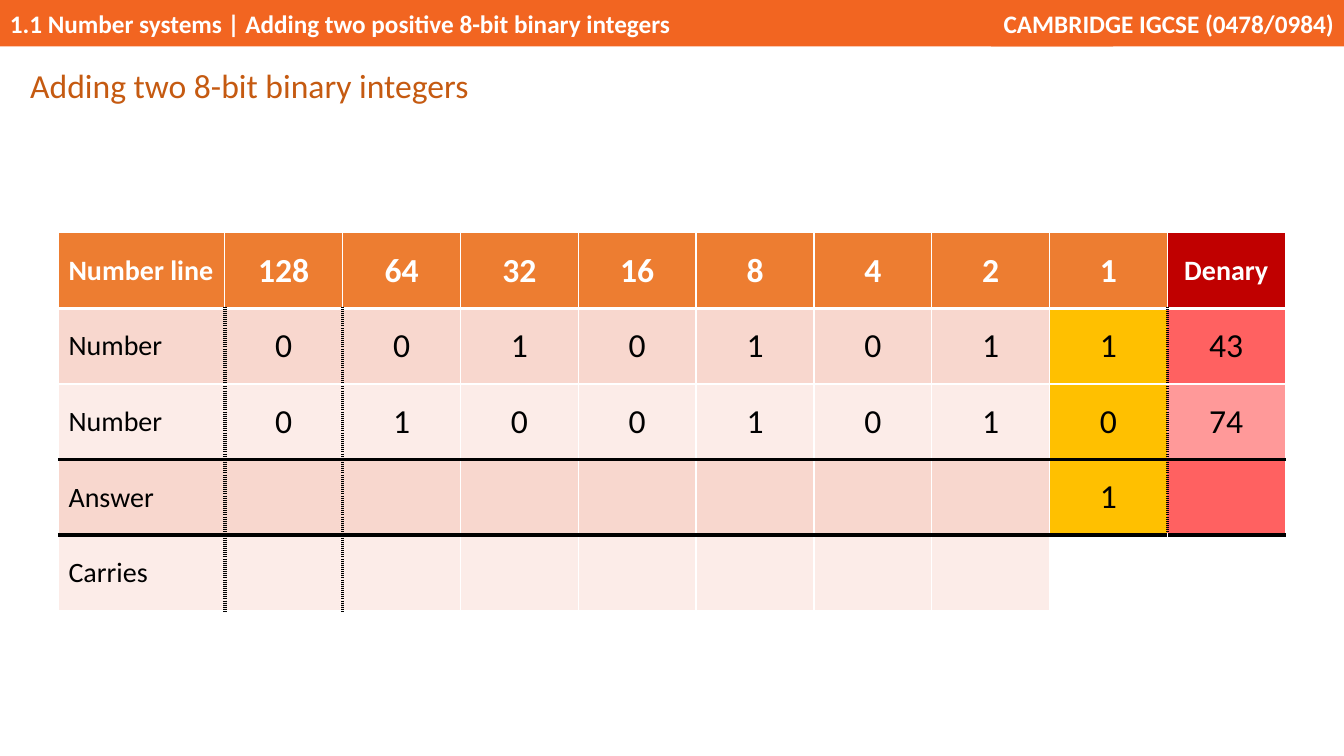
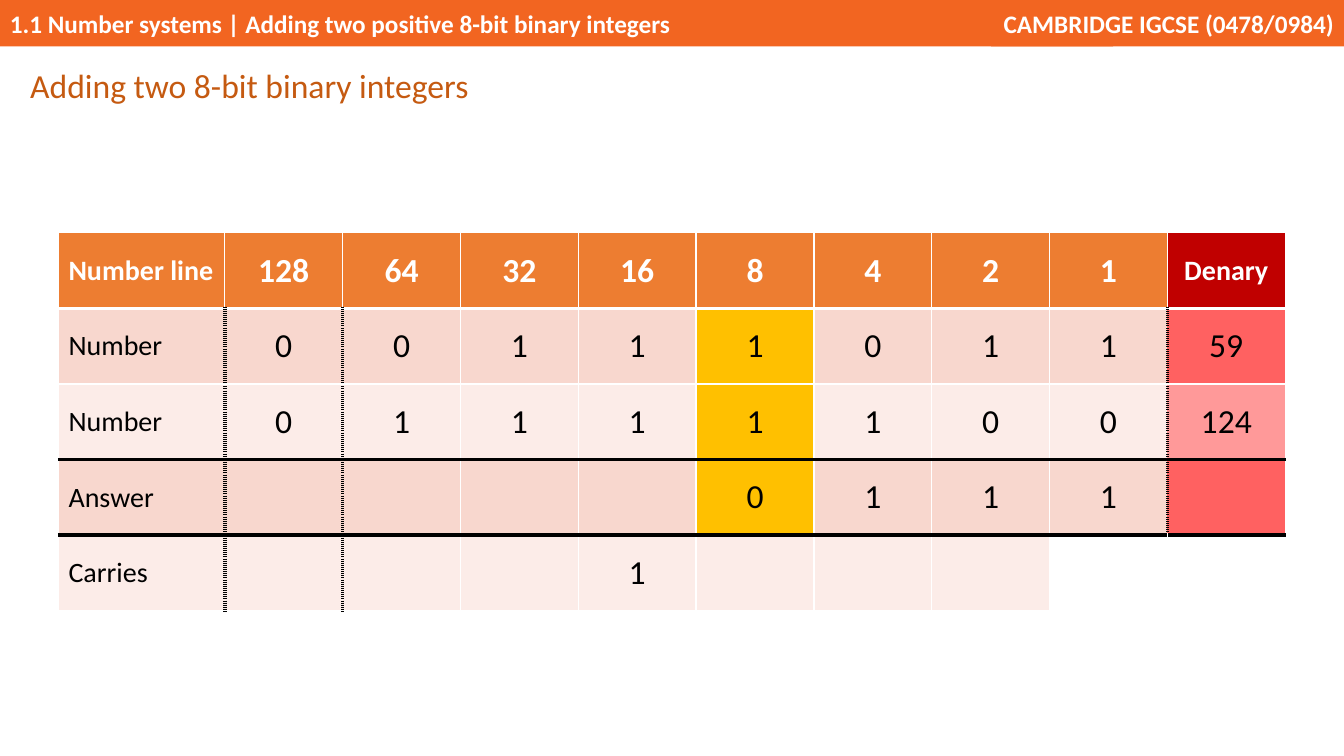
from dataclasses import dataclass
from typing import NamedTuple

import lxml.etree
import pptx
import pptx.dml.color
import pptx.enum.shapes
import pptx.enum.text
import pptx.oxml.ns
import pptx.presentation
import pptx.slide
import pptx.table
import pptx.text.text
from pptx.util import Inches

ALIGN = pptx.enum.text.PP_ALIGN
MIDDLE = pptx.enum.text.MSO_ANCHOR.MIDDLE
TITLE_ONLY = 5


@dataclass(frozen=True)
class Theme:
    font: str = "Calibri"
    white: str = "FFFFFF"
    black: str = "000000"
    band: str = "F26521"
    title: str = "C55A11"
    header: str = "ED7D31"
    denary_header: str = "C00000"
    highlight: str = "FFC000"
    row_fills: tuple[str, ...] = ("F8D7CE", "FCECE8")
    denary_fills: tuple[str, ...] = ("FF6161", "FF9999")
    band_size: int = 18
    label_size: int = 20
    digit_size: int = 24
    title_size: int = 24


THEME = Theme()


class Band(NamedTuple):
    text: str
    left: float
    width: float
    align: ALIGN


class Border(NamedTuple):
    color: str
    width: int
    dash: str = "solid"


class Addition(NamedTuple):
    highlight: int
    first: str
    second: str
    answer: str
    carries: str
    denary: tuple[str, str]


THIN = Border(THEME.white, 1)
HEADER_RULE = Border(THEME.white, 3)
SUM_RULE = Border(THEME.black, 3)
DOTTED = Border(THEME.black, 3, "dot")

BANDS = (
    Band("1.1 Number systems | Adding two positive 8-bit binary integers", 0, 11.04, ALIGN.LEFT),
    Band("CAMBRIDGE IGCSE (0478/0984)", 9.83, 3.5, ALIGN.RIGHT),
)
BAND_HEIGHT = 0.46
TITLE = "Adding two 8-bit binary integers"

PLACES = [str(2 ** power) for power in range(7, -1, -1)]
LABELS = ("Number line", "Number", "Number", "Answer", "Carries")
CARRIES_ROW = len(LABELS) - 1
UNITS_COLUMN = len(PLACES)
DENARY_COLUMN = UNITS_COLUMN + 1
TABLE_LEFT, TABLE_TOP, TABLE_WIDTH = 0.58, 2.31, 12.17
LABEL_WIDTH, ROW_HEIGHT = 1.65, 0.75

ADDITIONS = (
    Addition(8, "00101011", "01001010", "       1", " " * 8, ("43", "74")),
    Addition(5, "00111011", "01111100", "    0111", "   1    ", ("59", "124")),
)


def rgb(color: str) -> pptx.dml.color.RGBColor:
    return pptx.dml.color.RGBColor.from_string(color)


def format_paragraph(paragraph: pptx.text.text._Paragraph, size: int, color: str,
                     align: ALIGN, bold: bool = False) -> None:
    paragraph.alignment = align
    for run in paragraph.runs:
        run.font.name = THEME.font
        run.font.size = pptx.util.Pt(size)
        run.font.color.rgb = rgb(color)
        run.font.bold = bold


def move_band_to_layout(slide: pptx.slide.Slide, band: Band) -> None:
    shape = slide.shapes.add_shape(pptx.enum.shapes.MSO_SHAPE.RECTANGLE, Inches(band.left), 0,
                                   Inches(band.width), Inches(BAND_HEIGHT))
    shape.shadow.inherit = False
    shape.fill.solid()
    shape.fill.fore_color.rgb = rgb(THEME.band)
    shape.line.fill.background()
    text_frame = shape.text_frame
    text_frame.text = band.text
    text_frame.vertical_anchor = MIDDLE
    format_paragraph(text_frame.paragraphs[0], THEME.band_size, THEME.white, band.align, True)
    slide.slide_layout.shapes.element.append(shape.element)


def format_title(slide: pptx.slide.Slide) -> None:
    title = slide.shapes.title
    title.left, title.top = Inches(0.2), Inches(0.57)
    title.width, title.height = Inches(4.8), Inches(0.51)
    text_frame = title.text_frame
    text_frame.text = TITLE
    text_frame.word_wrap = True
    text_frame.auto_size = pptx.enum.text.MSO_AUTO_SIZE.NONE
    text_frame.vertical_anchor = pptx.enum.text.MSO_ANCHOR.TOP
    paragraph = text_frame.paragraphs[0]
    paragraph.line_spacing = 1.07
    format_paragraph(paragraph, THEME.title_size, THEME.title, ALIGN.LEFT)


def vertical_border(row: int, line: int) -> Border:
    beside_leading_bit = line in (1, 2) and row > 0
    before_denary = line == DENARY_COLUMN and 0 < row < CARRIES_ROW
    return DOTTED if beside_leading_bit or before_denary else THIN


def horizontal_border(line: int) -> Border:
    return {1: HEADER_RULE, 3: SUM_RULE, 4: SUM_RULE}.get(line, THIN)


def set_borders(cell: pptx.table._Cell, row: int, column: int) -> None:
    properties = cell._tc.get_or_add_tcPr()
    borders = {
        "a:lnL": vertical_border(row, column),
        "a:lnR": vertical_border(row, column + 1),
        "a:lnT": horizontal_border(row),
        "a:lnB": horizontal_border(row + 1),
    }
    qualified = pptx.oxml.ns.qn
    for tag, border in borders.items():
        line = lxml.etree.SubElement(properties, qualified(tag),
                                     w=str(pptx.util.Pt(border.width)))
        fill = lxml.etree.SubElement(line, qualified("a:solidFill"))
        lxml.etree.SubElement(fill, qualified("a:srgbClr"), val=border.color)
        lxml.etree.SubElement(line, qualified("a:prstDash"), val=border.dash)


def cell_fill(row: int, column: int, highlight: int) -> str:
    if row == 0:
        return THEME.denary_header if column == DENARY_COLUMN else THEME.header
    if row == CARRIES_ROW and column >= UNITS_COLUMN:
        return THEME.white
    if column == highlight and row < CARRIES_ROW:
        return THEME.highlight
    fills = THEME.denary_fills if column == DENARY_COLUMN else THEME.row_fills
    return fills[(row - 1) % 2]


def format_cell(cell: pptx.table._Cell, text: str, row: int, column: int,
                highlight: int) -> None:
    set_borders(cell, row, column)
    cell.fill.solid()
    cell.fill.fore_color.rgb = rgb(cell_fill(row, column, highlight))
    cell.vertical_anchor = MIDDLE
    cell.text_frame.text = text
    is_header = row == 0
    is_label = column == 0 or (is_header and column == DENARY_COLUMN)
    format_paragraph(cell.text_frame.paragraphs[0],
                     THEME.label_size if is_label else THEME.digit_size,
                     THEME.white if is_header else THEME.black,
                     ALIGN.LEFT if column == 0 else ALIGN.CENTER, is_header)


def add_addition_table(slide: pptx.slide.Slide, addition: Addition) -> None:
    bit_rows = (PLACES, addition.first, addition.second, addition.answer, addition.carries)
    denary = ("Denary", *addition.denary, "", "")
    rows = [[label, *(bit.strip() for bit in bits), total]
            for label, bits, total in zip(LABELS, bit_rows, denary)]
    table = slide.shapes.add_table(len(rows), len(rows[0]), Inches(TABLE_LEFT), Inches(TABLE_TOP),
                                   Inches(TABLE_WIDTH), Inches(ROW_HEIGHT * len(rows))).table
    table.horz_banding = False
    bit_width = (TABLE_WIDTH - LABEL_WIDTH) / DENARY_COLUMN
    for index, column in enumerate(table.columns):
        column.width = Inches(bit_width if index else LABEL_WIDTH)
    for row, texts in enumerate(rows):
        table.rows[row].height = Inches(ROW_HEIGHT)
        for column, text in enumerate(texts):
            format_cell(table.cell(row, column), text, row, column, addition.highlight)


def main() -> None:
    presentation = pptx.Presentation()
    presentation.slide_width = Inches(13.33)
    presentation.slide_height = Inches(7.5)
    layout = presentation.slide_layouts[TITLE_ONLY]
    slides = [presentation.slides.add_slide(layout) for _ in ADDITIONS]
    for band in BANDS:
        move_band_to_layout(slides[0], band)
    for slide, addition in zip(slides, ADDITIONS):
        format_title(slide)
        add_addition_table(slide, addition)
    presentation.save("out.pptx")


if __name__ == "__main__":
    main()
